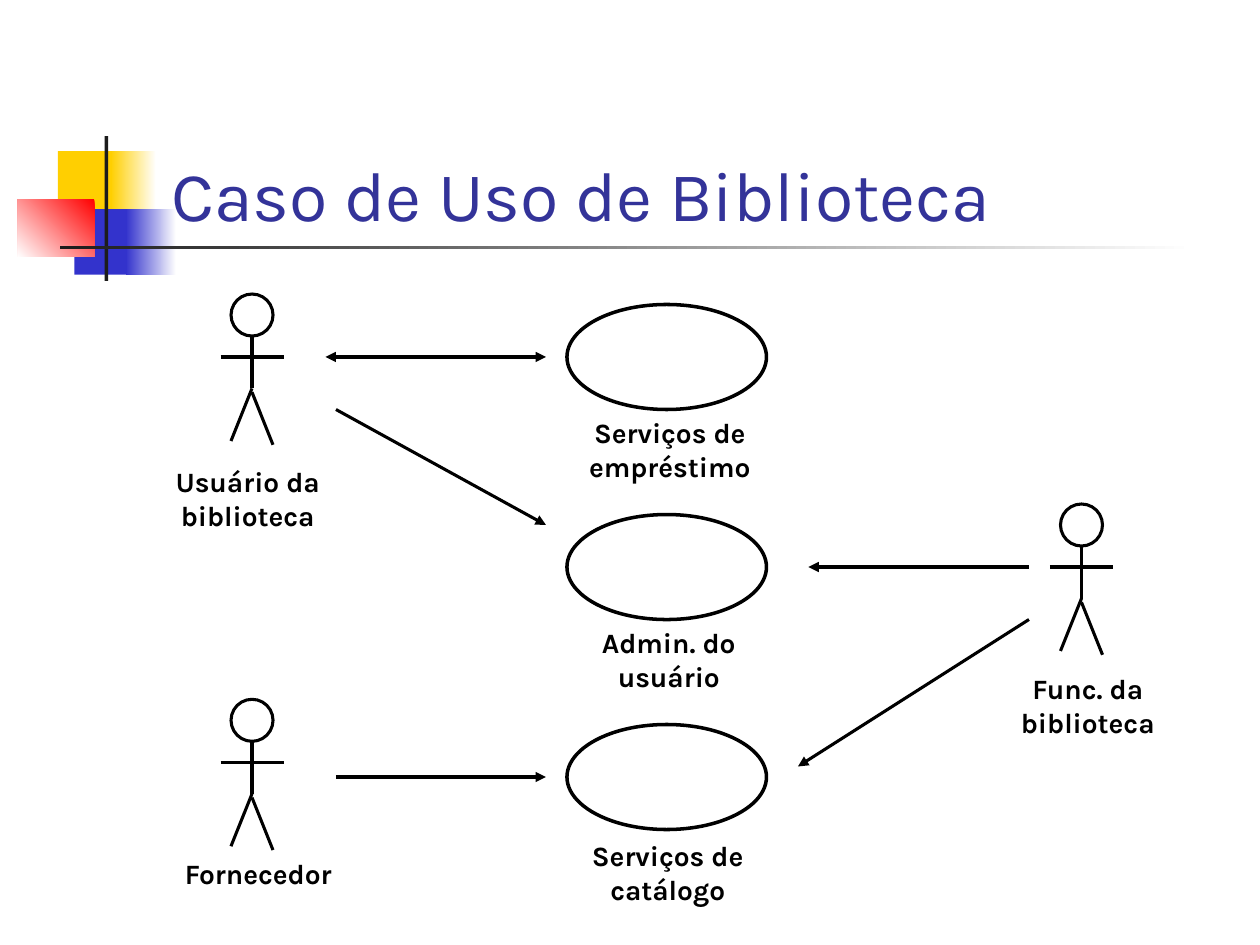
from lxml import etree
from pptx import Presentation
from pptx import util as u
from pptx.dml.color import RGBColor
from pptx.enum import shapes, text
from pptx.oxml.ns import qn

COLORS = {
    "white": "FFFFFF", "black": "000000", "ink": "1C1C1C", "title": "333399",
    "yellow": "FFCF01", "blue": "3333CC", "red": "FF0000",
}
FONT = "Karla"
CELL = u.Inches(1) // 12  # the diagram grid has 120 columns and 90 rows
STROKE = 1.75


def color(name):
    return RGBColor.from_string(COLORS[name])


def grid(*cells):
    return [round(c * CELL) for c in cells]


def add_block(slide, box, start, end=None, angle=180):
    """Add a decorative rectangle, plain or fading from start to end; box is in inches."""
    sp = slide.shapes.add_shape(shapes.MSO_SHAPE.RECTANGLE, *map(u.Inches, box))
    sp.shadow.inherit = False
    sp.line.fill.background()
    if end is None:
        sp.fill.solid()
        sp.fill.fore_color.rgb = color(start)
        return
    sp.fill.gradient()
    sp.fill.gradient_angle = angle
    for stop, name in zip(sp.fill.gradient_stops, (start, end)):
        stop.color.rgb = color(name)


def add_decoration(slide):
    add_block(slide, (0.46, 1.2, 0.48, 0.52), "yellow")
    add_block(slide, (0.88, 1.2, 0.36, 0.52), "white", "yellow")
    add_block(slide, (0.59, 1.66, 0.46, 0.52), "blue")
    add_block(slide, (1, 1.66, 0.4, 0.52), "white", "blue")
    add_block(slide, (0.14, 1.58, 0.61, 0.46), "red", "white", angle=225)
    add_block(slide, (0.83, 1.08, 0.03, 1.15), "ink")
    add_block(slide, (0.48, 1.95, 9, 0.03), "white", "ink")


def add_text(p, words, size, name, bold=False):
    r = p.add_run()
    r.text = words
    r.font.name, r.font.size, r.font.bold = FONT, u.Pt(size), bold
    r.font.color.rgb = color(name)


def add_title(slide, words):
    sp = slide.shapes.title
    sp.left, sp.top, sp.width, sp.height = map(u.Inches, (1.26, 0.67, 8.52, 1.25))
    tf = sp.text_frame
    tf.auto_size = text.MSO_AUTO_SIZE.NONE
    tf.vertical_anchor = text.MSO_ANCHOR.BOTTOM
    tf.paragraphs[0].alignment = text.PP_ALIGN.LEFT
    add_text(tf.paragraphs[0], words, 40, "title")
    sp.element.getparent().append(sp.element)  # in front of the decoration


def add_ellipse(parent, col, row, cols, rows, width):
    sp = parent.shapes.add_shape(shapes.MSO_SHAPE.OVAL, *grid(col, row, cols, rows))
    sp.shadow.inherit = False
    sp.fill.background()
    sp.line.color.rgb = color("black")
    sp.line.width = u.Pt(width)


def add_line(parent, *ends, heads=()):
    """Join two grid points; heads names the ends (headEnd, tailEnd) with an arrow."""
    sp = parent.shapes.add_connector(shapes.MSO_CONNECTOR.STRAIGHT, *grid(*ends))
    sp.line.color.rgb = color("black")
    sp.line.width = u.Pt(STROKE)
    for head in heads:
        etree.SubElement(sp.line._get_or_add_ln(), qn(f"a:{head}"), type="triangle")
    etree.SubElement(sp.element.spPr, qn("a:effectLst"))


def add_actor(slide, x, top):
    """Add a stick figure centred on column x."""
    group = slide.shapes.add_group_shape()
    add_ellipse(group, x - 2, top, 4, 4, STROKE)
    hip = top + 9
    add_line(group, x, hip, x, top + 4)
    add_line(group, x - 2, hip + 5, x, hip)
    add_line(group, x + 2, hip + 5.36, x, hip + 0.36)
    add_line(group, x - 3, top + 6, x + 3, top + 6)


def add_label(slide, x, top, *lines):
    """Add bold text centred on column x."""
    cols, rows = 18, 0.4 + 3.65 * len(lines)
    tf = slide.shapes.add_textbox(*grid(x - cols / 2, top, cols, rows)).text_frame
    tf.word_wrap = False
    for i, line in enumerate(lines):
        p = tf.add_paragraph() if i else tf.paragraphs[0]
        p.alignment = text.PP_ALIGN.CENTER
        add_text(p, line, 16, "black", bold=True)


def main():
    prs = Presentation()
    prs.slide_width, prs.slide_height = u.Inches(10), u.Inches(7.5)
    slide = prs.slides.add_slide(prs.slide_layouts[5])
    add_decoration(slide)
    add_title(slide, "Caso de Uso de Biblioteca")

    for x, top in ((24, 28), (24, 66.6), (103, 48)):
        add_actor(slide, x, top)
    for row in range(29, 70, 20):
        add_ellipse(slide, 54, row, 19, 10, 2)

    add_line(slide, 31, 34, 52, 34, heads=("headEnd", "tailEnd"))
    for ends in ((32, 39, 52, 50), (32, 74, 52, 74),
                 (98, 54, 77, 54), (98, 59, 76, 73)):
        add_line(slide, *ends, heads=("tailEnd",))

    add_label(slide, 23.6, 43.7, "Usuário da", "biblioteca")
    add_label(slide, 24.6, 81, "Fornecedor")
    add_label(slide, 103.6, 63.4, "Func. da", "biblioteca")
    add_label(slide, 63.6, 79.3, "Serviços de", "catálogo")
    add_label(slide, 63.7, 59, "Admin. do", "usuário")
    add_label(slide, 63.8, 39, "Serviços de", "empréstimo")
    prs.save("out.pptx")


if __name__ == "__main__":
    main()
